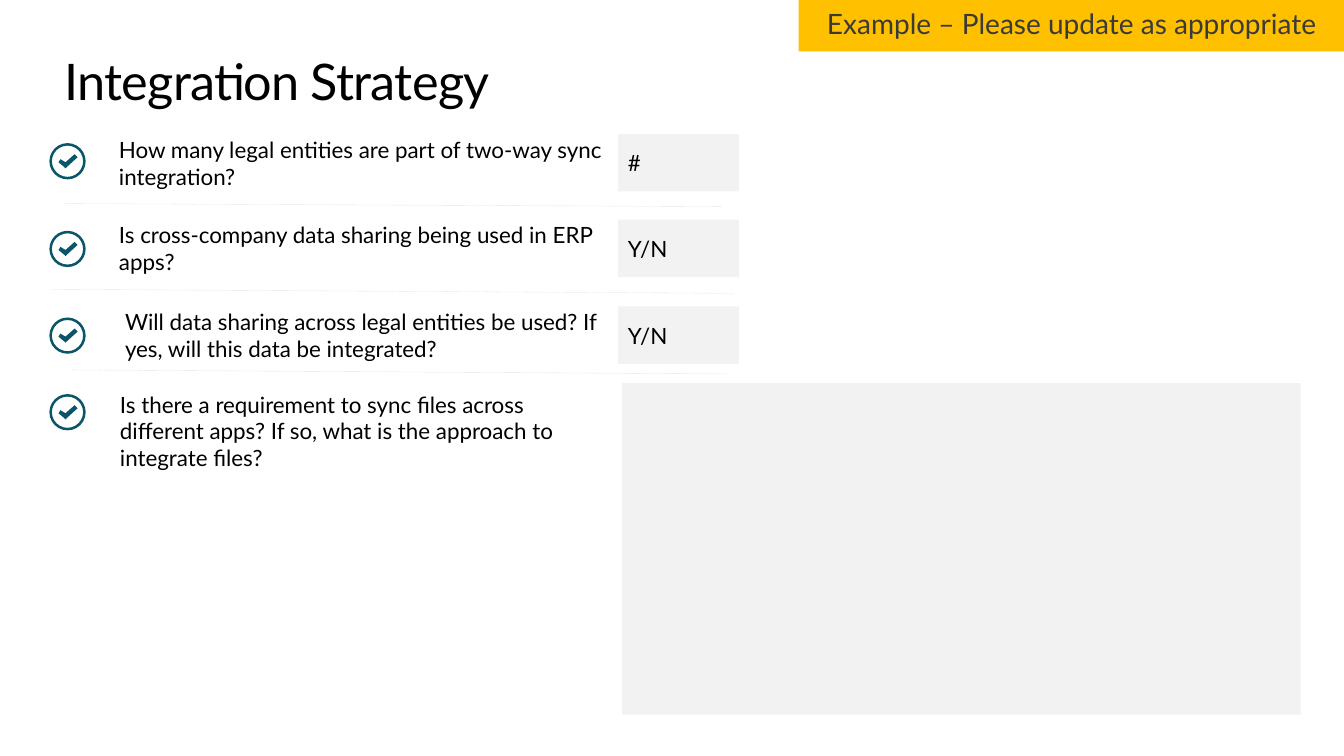
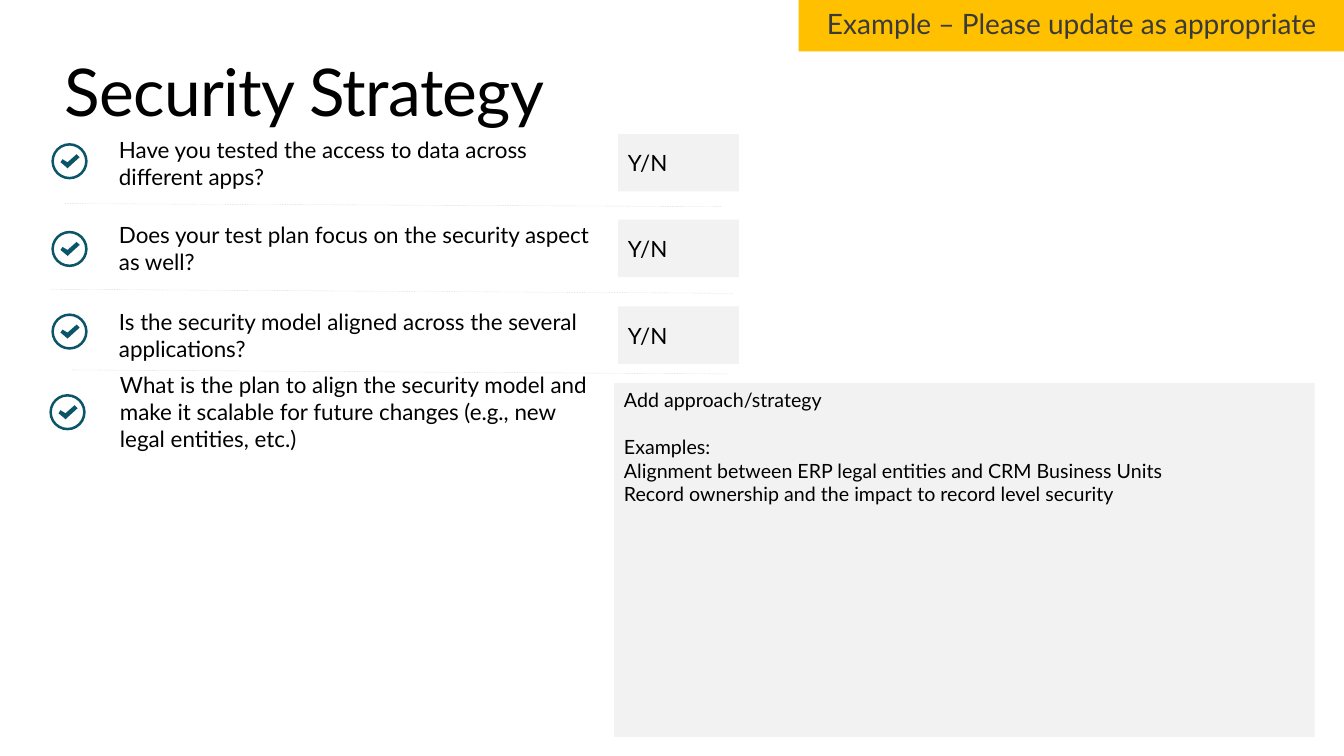
from dataclasses import dataclass

from lxml import etree
from pptx import Presentation
from pptx.dml.color import RGBColor
from pptx.enum.dml import MSO_LINE
from pptx.enum.shapes import MSO_CONNECTOR, MSO_SHAPE
from pptx.enum.text import MSO_ANCHOR, MSO_AUTO_SIZE, PP_ALIGN
from pptx.oxml.ns import qn
from pptx.util import Inches, Pt

FONT = "Lato"
COLORS = {
    "text": "000000",
    "banner": "FFC000",
    "banner_text": "3A3A3A",
    "field": "F2F2F2",
    "icon": "0B5569",
    "divider": "D9D9D9",
}
TITLE_BOX = (0.64, 0.5, 12.05, 0.61)
BANNER_BOX = (7.92, -0.02, 5.42, 0.53)
BANNER_TEXT = "Example – Please update as appropriate"
ROW_TOPS = (1.33, 2.18, 3.04, 3.8)
ROW_HEIGHT = 0.57
ANSWER_LEFT, ANSWER_WIDTH = 6.13, 1.2
QUESTION_RIGHT = 6.1
DIVIDERS = (
    (0.64, 2.02, 7.15, 2.05),
    (0.51, 2.87, 7.28, 2.91),
    (0.71, 3.67, 7.23, 3.71),
)
ICON_SIZE = 0.36
RING_THICKNESS = 0.07
CHECK_POINTS = (
    (0.25, 0.11), (0.16, 0.19), (0.11, 0.16), (0.09, 0.19),
    (0.15, 0.24), (0.16, 0.25), (0.17, 0.24), (0.28, 0.14),
)


@dataclass
class Row:
    question: str
    answer: str = ""
    text_left: float = 0.58
    icon_left: float = 0.49
    icon_drop: float = 0.11
    height: float = ROW_HEIGHT


def color(name):
    return RGBColor.from_string(COLORS[name])


def inches(values):
    return [Inches(value) for value in values]


def style_shape(shape, fill):
    shape.shadow.inherit = False
    shape.fill.solid()
    shape.fill.fore_color.rgb = color(fill)
    shape.line.fill.background()


def set_insets(frame, left, top, right, bottom):
    frame.margin_left, frame.margin_top = Inches(left), Inches(top)
    frame.margin_right, frame.margin_bottom = Inches(right), Inches(bottom)


def write(frame, lines, size, ink="text", align=PP_ALIGN.LEFT, anchor=MSO_ANCHOR.TOP):
    frame.word_wrap = True
    frame.auto_size = MSO_AUTO_SIZE.NONE
    frame.vertical_anchor = anchor
    frame.text = "\n".join(lines)
    for paragraph in frame.paragraphs:
        paragraph.alignment = align
        paragraph.font.name = FONT
        paragraph.font.size = Pt(size)
        paragraph.font.color.rgb = color(ink)


def add_rectangle(slide, box, fill):
    shape = slide.shapes.add_shape(MSO_SHAPE.RECTANGLE, *inches(box))
    style_shape(shape, fill)
    return shape


def add_title(slide, box, text, size):
    title = slide.shapes.title
    title.left, title.top, title.width, title.height = inches(box)
    frame = title.text_frame
    set_insets(frame, 0, 0, 0, 0)
    write(frame, [text], size)
    frame.paragraphs[0].runs[0]._r.get_or_add_rPr().set("spc", "-50")


def add_banner(slide, box):
    frame = add_rectangle(slide, box, "banner").text_frame
    set_insets(frame, 0.12, 0.12, 0.12, 0.12)
    write(frame, [BANNER_TEXT], 20, "banner_text", PP_ALIGN.CENTER)
    frame.paragraphs[0].line_spacing = 0.9


def add_divider(slide, ends):
    line = slide.shapes.add_connector(MSO_CONNECTOR.STRAIGHT, *inches(ends))
    line.line.color.rgb = color("divider")
    line.line.width = Pt(0.25)
    line.line.dash_style = MSO_LINE.DASH
    etree.SubElement(line._element.spPr, qn("a:effectLst"))


def add_check_icon(slide, left, top):
    icon = slide.shapes.add_group_shape()
    ring = icon.shapes.add_shape(
        MSO_SHAPE.DONUT, *inches((left, top, ICON_SIZE, ICON_SIZE)))
    ring.adjustments[0] = RING_THICKNESS
    points = [inches((left + x, top + y)) for x, y in CHECK_POINTS]
    builder = icon.shapes.build_freeform(*points[0])
    builder.add_line_segments(points[1:], close=True)
    for shape in (ring, builder.convert_to_shape()):
        style_shape(shape, "icon")


def add_row(slide, top, row):
    box = (row.text_left, top, QUESTION_RIGHT - row.text_left, row.height)
    frame = slide.shapes.add_textbox(*inches(box)).text_frame
    set_insets(frame, 0.6, 0.05, 0.1, 0.05)
    write(frame, [row.question], 16, anchor=MSO_ANCHOR.MIDDLE)
    add_check_icon(slide, row.icon_left, top + row.icon_drop)
    if row.answer:
        field = add_rectangle(
            slide, (ANSWER_LEFT, top, ANSWER_WIDTH, ROW_HEIGHT), "field")
        write(field.text_frame, [row.answer], 16, anchor=MSO_ANCHOR.MIDDLE)


def add_strategy_panel(slide, box, lines):
    panel = add_rectangle(slide, box, "field")
    if lines:
        write(panel.text_frame, lines, 14)
        panel.text_frame.paragraphs[0].space_after = Pt(16.8)


def add_checklist_slide(presentation, title, title_size, rows, panel_box, panel_lines=()):
    slide = presentation.slides.add_slide(presentation.slide_layouts[5])
    add_title(slide, TITLE_BOX, title, title_size)
    for ends in DIVIDERS:
        add_divider(slide, ends)
    for top, row in zip(ROW_TOPS, rows):
        add_row(slide, top, row)
    add_banner(slide, BANNER_BOX)
    add_strategy_panel(slide, panel_box, panel_lines)


INTEGRATION_ROWS = (
    Row("How many legal entities are part of two-way sync integration?", "#",
        icon_drop=0.09),
    Row("Is cross-company data sharing being used in ERP apps?", "Y/N"),
    Row("Will data sharing across legal entities be used? "
        "If yes, will this data be integrated?", "Y/N", text_left=0.64),
    Row("Is there a requirement to sync files across different apps? "
        "If so, what is the approach to integrate files?",
        text_left=0.59, height=0.95),
)
SECURITY_ROWS = (
    Row("Have you tested the access to data across different apps?", "Y/N",
        icon_left=0.51, icon_drop=0.09),
    Row("Does your test plan focus on the security aspect as well?", "Y/N",
        icon_left=0.51),
    Row("Is the security\u00a0model aligned across the several applications?", "Y/N",
        icon_left=0.51, icon_drop=0.07),
    Row("What is the plan to align the security model and make it scalable "
        "for future changes (e.g., new legal entities,\u00a0etc.)", text_left=0.59),
)
SECURITY_NOTES = (
    "Add approach/strategy",
    "Examples:",
    "Alignment between ERP legal entities and CRM Business Units",
    "Record ownership and the impact to record level security",
)

presentation = Presentation()
presentation.slide_width = Inches(13.33)
presentation.slide_height = Inches(7.5)
add_checklist_slide(presentation, "Integration Strategy", 36, INTEGRATION_ROWS,
                    (6.17, 3.8, 6.73, 3.29))
add_checklist_slide(presentation, "Security Strategy", 47, SECURITY_ROWS,
                    (6.09, 3.8, 6.95, 3.51), SECURITY_NOTES)
presentation.save("out.pptx")
